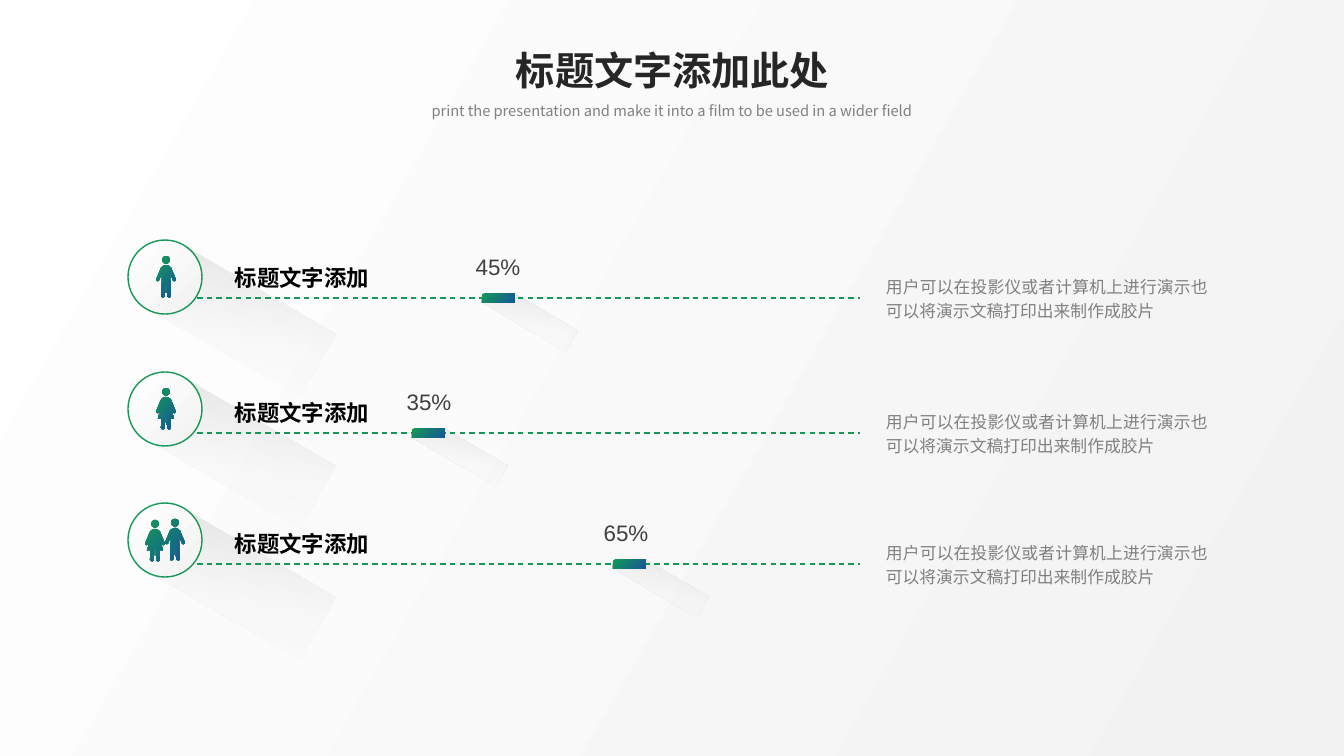
import math

import lxml.etree
import pptx
import pptx.dml.color
import pptx.enum.dml
import pptx.enum.shapes
import pptx.enum.text
import pptx.oxml.ns
import pptx.util

# Content
TITLE = "标题文字添加此处"
SUBTITLE = "print the presentation and make it into a film to be used in a wider field"
HEADING = "标题文字添加"
BODY = "用户可以在投影仪或者计算机上进行演示也可以将演示文稿打印出来制作成胶片"
ROWS = [
    # value, circle top, line y, bar left, value left, figures (kind, centre x, top)
    ("45%", 240, 298, 482, 433, [("man", 166, 256)]),
    ("35%", 372, 433, 412, 364, [("woman", 166, 388)]),
    ("65%", 503, 564, 613, 561, [("woman", 155, 520), ("man", 175, 519)]),
]

# Right half of each body in tenths of a px, from its centre line and head top
FIGURES = {
    "man": [(0, 90), (25, 94), (42, 110), (50, 116), (97, 232), (95, 246), (82, 252),
            (70, 244), (42, 172), (42, 262), (49, 394), (42, 411), (27, 413), (11, 396),
            (6, 264), (0, 262)],
    "woman": [(0, 90), (25, 94), (44, 110), (50, 116), (98, 234), (94, 247), (82, 252),
              (70, 244), (42, 170), (80, 304), (42, 300), (50, 394), (42, 410), (28, 413),
              (12, 402), (7, 292), (0, 292)],
}
HEAD_RADIUS = 38
BAR_SHADOW = [(0, 24), (23, 0), (96, 0), (96, 24)]

# Style
COLORS = {"white": "FFFFFF", "pale": "F2F2F2", "grey": "BFBFBF", "green": "159857",
          "blue": "155798", "title": "262626", "value": "404040", "muted": "808080",
          "black": "000000"}
ACCENT = [(0, "green", 100), (100, "blue", 100)]
PAPER = [(0, "white", 100), (100, "pale", 100)]
SHADE = [(0, "grey", 50), (61, "pale", 34), (100, "pale", 0)]
SANS = "Noto Sans CJK SC"
PX = 12192000 / 1344
ALIGN = pptx.enum.text.PP_ALIGN
SHAPE = pptx.enum.shapes.MSO_SHAPE
qn = pptx.oxml.ns.qn

prs = pptx.Presentation()
prs.slide_width, prs.slide_height = 12192000, 6858000
s = prs.slides.add_slide(prs.slide_layouts[6])


def px(*values):
    return [round(v * PX) for v in values]


def rgb(name):
    return pptx.dml.color.RGBColor.from_string(COLORS[name])


def paint(sp, stops, angle, outline=False):
    """Gradient fill with clockwise angle, and a thin green outline if wanted."""
    sp.shadow.inherit = False
    sp.fill.gradient()
    sp.fill.gradient_angle = 360 - angle
    gs_list = sp._element.spPr.find(qn("a:gradFill")).find(qn("a:gsLst"))
    for gs in list(gs_list):
        gs_list.remove(gs)
    for pos, color, opacity in stops:
        gs = lxml.etree.SubElement(gs_list, qn("a:gs"), pos=str(pos * 1000))
        clr = lxml.etree.SubElement(gs, qn("a:srgbClr"), val=COLORS[color])
        if opacity < 100:
            lxml.etree.SubElement(clr, qn("a:alpha"), val=str(opacity * 1000))
    if outline:
        sp.line.color.rgb = rgb("green")
        sp.line.width = pptx.util.Pt(1)
    else:
        sp.line.fill.background()
    return sp


def add_shape(kind, box, stops, angle, outline=False):
    return paint(s.shapes.add_shape(kind, *px(*box)), stops, angle, outline)


def add_outline(contours, stops, angle):
    """One shape from closed contours given in tenths of a px."""
    first, *rest = contours
    fb = s.shapes.build_freeform(*first[0], scale=PX / 10)
    fb.add_line_segments(first[1:])
    for contour in rest:
        fb.move_to(*contour[0])
        fb.add_line_segments(contour[1:])
    return paint(fb.convert_to_shape(), stops, angle)


def figure(kind, cx, top):
    """Body and head contours of one person."""
    half = FIGURES[kind]
    body = half + [(-x, y) for x, y in reversed(half[1:-1])]
    turns = [math.tau * i / 24 for i in range(24)]
    head = [(round(HEAD_RADIUS * math.cos(t)), round(HEAD_RADIUS * (1 + math.sin(t))))
            for t in turns]
    return [[(cx * 10 + x, top * 10 + y) for x, y in part] for part in (body, head)]


def add_text(text, box, size, color, align, font=SANS, bold=False, spacing=None, middle=False):
    tf = s.shapes.add_textbox(*px(*box)).text_frame
    tf.word_wrap = True
    if middle:
        tf.vertical_anchor = pptx.enum.text.MSO_ANCHOR.MIDDLE
    p = tf.paragraphs[0]
    p.text = text
    p.alignment = align
    p.line_spacing = spacing
    f = p.font
    f.name, f.size, f.bold = font, pptx.util.Pt(size), bold
    f.color.rgb = rgb(color)
    latin = p._p.pPr.find(qn("a:defRPr")).find(qn("a:latin"))
    latin.addnext(latin.makeelement(qn("a:ea"), {"typeface": font}))


# Background
add_shape(SHAPE.RECTANGLE, (0, 0, 1344, 756), PAPER, 30)

# Long shadows under circles and bars
for value, circle_y, line_y, bar_x, value_x, people in ROWS:
    add_shape(SHAPE.RECTANGLE, (146, circle_y + 43, 184, 72), SHADE, 70).rotation = 30
    corners = [((bar_x + x) * 10, (line_y + 7 + y) * 10) for x, y in BAR_SHADOW]
    add_outline([corners], SHADE, 70).rotation = 30

# Rows
for value, circle_y, line_y, bar_x, value_x, people in ROWS:
    ln = s.shapes.add_connector(pptx.enum.shapes.MSO_CONNECTOR.STRAIGHT,
                                *px(197, line_y, 860, line_y))
    ln.line.color.rgb = rgb("green")
    ln.line.width = pptx.util.Pt(1)
    ln.line.dash_style = pptx.enum.dml.MSO_LINE.DASH
    lxml.etree.SubElement(ln._element.spPr, qn("a:effectLst"))
    add_shape(SHAPE.OVAL, (128, circle_y, 74, 74), PAPER, 45, outline=True)
    add_outline([part for person in people for part in figure(*person)], ACCENT, 45)
    add_shape(SHAPE.RECTANGLE, (bar_x, line_y - 4, 33, 9), ACCENT, 45)
    add_text(value, (value_x, line_y - 52, 130, 42), 16, "value", ALIGN.CENTER,
             font="Arial", middle=True)
    add_text(BODY, (876, line_y - 30, 342, 60), 12, "muted", ALIGN.JUSTIFY, spacing=1.2)
    add_text(HEADING, (225, line_y - 44, 226, 40), 16, "black", ALIGN.JUSTIFY,
             bold=True, spacing=1.2)

# Title
add_text(TITLE, (491, 41, 363, 58), 28, "title", ALIGN.CENTER, bold=True)
add_text(SUBTITLE, (403, 93, 538, 30), 10.5, "muted", ALIGN.CENTER, spacing=1.2)

prs.save("out.pptx")
